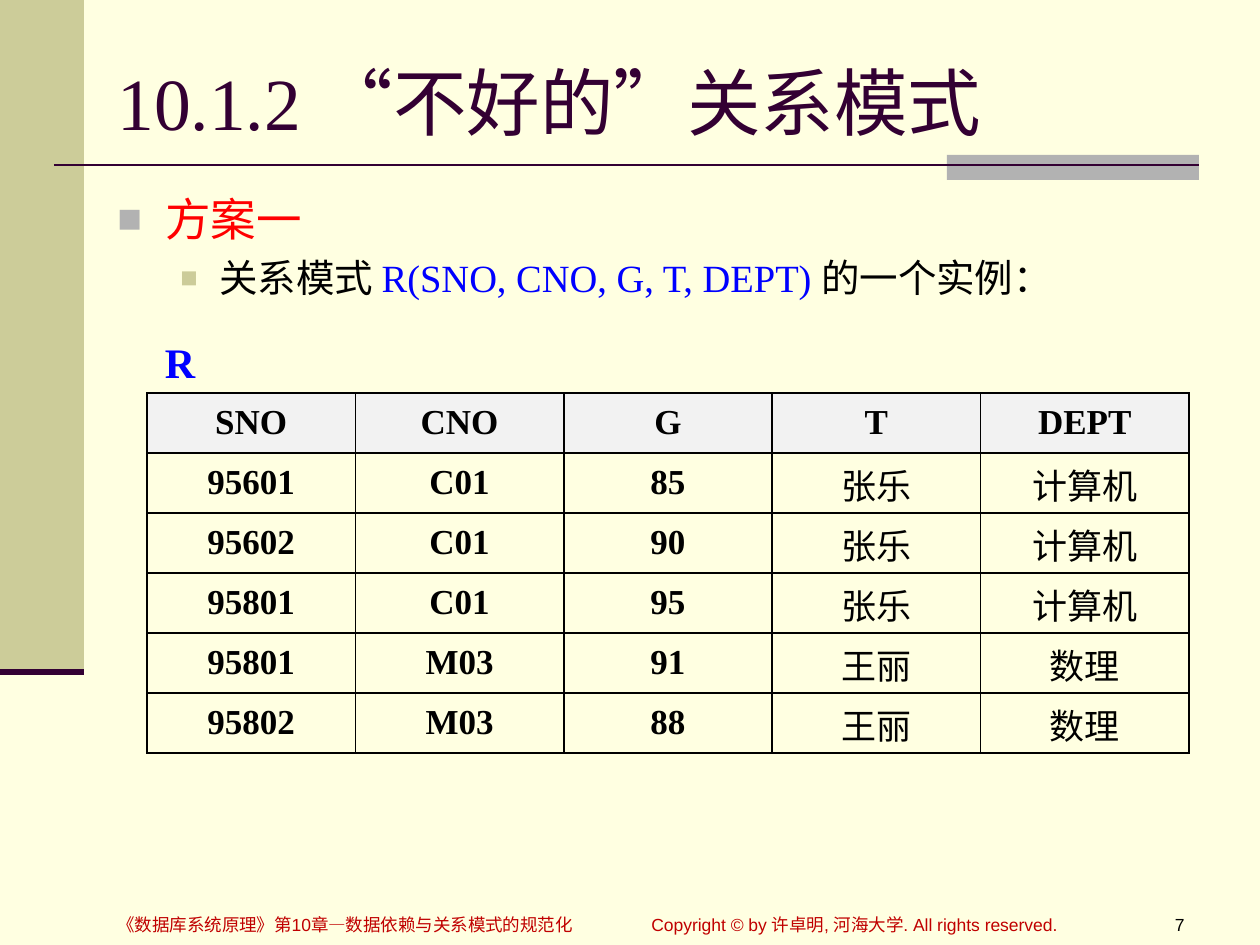
from pptx import Presentation
from pptx.dml.color import RGBColor
from pptx.enum.shapes import MSO_CONNECTOR, MSO_SHAPE
from pptx.enum.text import MSO_ANCHOR, PP_ALIGN
from pptx.oxml.ns import qn
from pptx.util import Emu, Pt
from lxml.etree import SubElement

PX_PER_INCH = 126
SERIF, SANS = "Times New Roman", "Arial"
COLORS = {
    "background": "FFFFE1",
    "olive": "CCCC99",
    "gray": "B2B2B2",
    "plum": "330033",
    "red": "FF0000",
    "blue": "0000FF",
    "black": "000000",
    "footer": "C00000",
    "header": "F2F2F2",
}
ROWS = [
    ("SNO", "CNO", "G", "T", "DEPT"),
    ("95601", "C01", "85", "张乐", "计算机"),
    ("95602", "C01", "90", "张乐", "计算机"),
    ("95801", "C01", "95", "张乐", "计算机"),
    ("95801", "M03", "91", "王丽", "数理"),
    ("95802", "M03", "88", "王丽", "数理"),
]


def px(length):
    return Emu(round(length * 914400 / PX_PER_INCH))


def color(name):
    return RGBColor.from_string(COLORS[name])


def add_bar(page, left, top, width, height, fill):
    bar = page.shapes.add_shape(
        MSO_SHAPE.RECTANGLE, px(left), px(top), px(width), px(height))
    bar.shadow.inherit = False
    bar.fill.solid()
    bar.fill.fore_color.rgb = color(fill)
    bar.line.fill.background()


def add_rule(page, left, right, y, weight):
    rule = page.shapes.add_connector(
        MSO_CONNECTOR.STRAIGHT, px(left), px(y), px(right), px(y))
    rule.line.color.rgb = color("plum")
    rule.line.width = Pt(weight)
    SubElement(rule._element.spPr, qn("a:effectLst"))


def set_font(paragraph, name, size, tint, bold=False):
    paragraph.font.name = name
    paragraph.font.size = Pt(size)
    paragraph.font.bold = bold
    paragraph.font.color.rgb = color(tint)


def add_frame(page, left, top, width, height):
    box = page.shapes.add_textbox(px(left), px(top), px(width), px(height))
    box.text_frame.word_wrap = True
    return box.text_frame


def add_label(page, area, text, name, size, tint, bold=False,
              align=PP_ALIGN.LEFT, anchor=MSO_ANCHOR.TOP):
    frame = add_frame(page, *area)
    frame.vertical_anchor = anchor
    paragraph = frame.paragraphs[0]
    paragraph.text = text
    paragraph.alignment = align
    set_font(paragraph, name, size, tint, bold)


def set_bullet(paragraph, indent, hanging, tint, percent):
    properties = paragraph._p.get_or_add_pPr()
    properties.set("marL", str(px(indent)))
    properties.set("indent", str(-px(hanging)))
    bullet_color = SubElement(properties, qn("a:buClr"))
    SubElement(bullet_color, qn("a:srgbClr"), val=COLORS[tint])
    SubElement(properties, qn("a:buSzPct"), val=str(percent * 1000))
    SubElement(properties, qn("a:buFont"), typeface=SANS)
    SubElement(properties, qn("a:buChar"), char="■")


def add_decoration(page, left, top):
    # Side band with its closing rule
    add_bar(page, left, top, 84, 672, "olive")
    add_rule(page, left, left + 84, top + 672, 3.5)
    # Title underline with its accent
    add_bar(page, left + 947, top + 155, 252, 25, "gray")
    add_rule(page, left + 54, left + 1199, top + 165, 1.5)


def add_body(page, left, top, width, height):
    frame = add_frame(page, left, top, width, height)
    heading = frame.paragraphs[0]
    heading.text = "方案一"
    set_bullet(heading, 48, 48, "gray", 90)
    set_font(heading, SANS, 26, "red")

    detail = frame.add_paragraph()
    detail.level = 1
    set_bullet(detail, 102, 39, "olive", 75)
    detail.space_before = Pt(5)
    set_font(detail, SERIF, 22, "black")
    for text, tint in (("关系模式 ", "black"),
                       ("R(SNO, CNO, G, T, DEPT) ", "blue"),
                       ("的一个实例：", "black")):
        span = detail.add_run()
        span.text = text
        span.font.color.rgb = color(tint)


def set_borders(cell):
    properties = cell._tc.get_or_add_tcPr()
    for position, side in enumerate(("lnL", "lnR", "lnT", "lnB")):
        border = SubElement(properties, qn("a:" + side), w=str(Pt(1)))
        fill = SubElement(border, qn("a:solidFill"))
        SubElement(fill, qn("a:srgbClr"), val=COLORS["black"])
        properties.remove(border)
        properties.insert(position, border)  # borders come before the fill


def add_relation(page, left, top, width, height):
    # Relation name above the table
    add_label(page, (left, top, 66, 63), "R", SERIF, 24, "blue", True,
              PP_ALIGN.CENTER)
    # Instance table
    table = page.shapes.add_table(
        len(ROWS), len(ROWS[0]), px(left), px(top + 63),
        px(width), px(height - 63)).table
    table.first_row = table.horz_banding = False
    for row, values in enumerate(ROWS):
        table.rows[row].height = px((height - 63) / len(ROWS))
        for column, value in enumerate(values):
            cell = table.cell(row, column)
            cell.text = value
            cell.vertical_anchor = MSO_ANCHOR.MIDDLE
            if row == 0:
                cell.fill.solid()
                cell.fill.fore_color.rgb = color("header")
            else:
                cell.fill.background()
            set_borders(cell)
            paragraph = cell.text_frame.paragraphs[0]
            paragraph.alignment = PP_ALIGN.CENTER
            set_font(paragraph, SERIF, 20, "black", row == 0 or column < 3)


def add_footer(page, left, top, height):
    add_label(page, (left, top, 515, height),
              "《数据库系统原理》第10章—数据依赖与关系模式的规范化",
              SANS, 10, "footer")
    add_label(page, (left + 534, top, 456, height),
              "Copyright © by 许卓明, 河海大学. All rights reserved.",
              SANS, 10, "footer")
    add_label(page, (left + 1021, top, 71, height), "7", SANS, 10, "black",
              align=PP_ALIGN.RIGHT)


def main():
    deck = Presentation()
    deck.slide_width, deck.slide_height = px(1260), px(945)
    page = deck.slides.add_slide(deck.slide_layouts[6])
    page.background.fill.solid()
    page.background.fill.fore_color.rgb = color("background")

    add_decoration(page, 0, 0)
    add_label(page, (105, 38, 1092, 127), "10.1.2 “不好的”关系模式",
              SERIF, 42, "plum", anchor=MSO_ANCHOR.MIDDLE)
    add_body(page, 105, 185, 1092, 709)
    add_relation(page, 147, 330, 1042, 423)
    add_footer(page, 105, 908, 34)
    deck.save("out.pptx")


if __name__ == "__main__":
    main()
